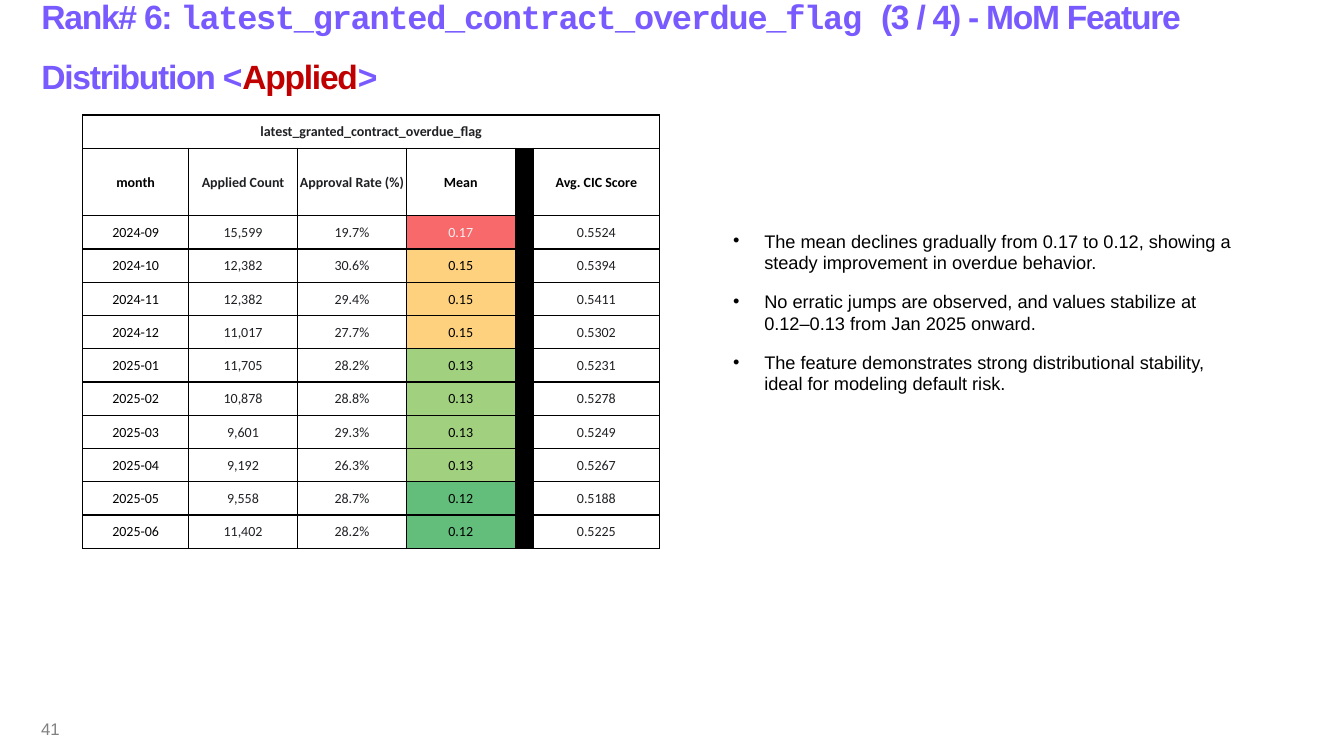
from lxml import etree
from pptx import Presentation, util as u
from pptx.dml.color import RGBColor
from pptx.enum import text
from pptx.oxml.ns import qn

PX = 9144
PURPLE = RGBColor(0x78, 0x5A, 0xFF)
CRIMSON = RGBColor(0xC0, 0x00, 0x00)
BLACK = RGBColor(0x00, 0x00, 0x00)
WHITE = RGBColor(0xFF, 0xFF, 0xFF)
INK = RGBColor(0x20, 0x21, 0x24)
PALE = RGBColor(0xF1, 0xF1, 0xF1)
GRAY = RGBColor(0x80, 0x80, 0x80)
RED = RGBColor(0xF8, 0x69, 0x6B)
AMBER = RGBColor(0xFE, 0xD1, 0x7F)
LIME = RGBColor(0xA1, 0xD0, 0x7F)
GREEN = RGBColor(0x63, 0xBE, 0x7B)

MEAN_FILLS = {"0.17": RED, "0.15": AMBER, "0.13": LIME, "0.12": GREEN}
FEATURE = "latest_granted_contract_overdue_flag"
HEADERS = ("month", "Applied Count", "Approval Rate (%)", "Mean", "", "Avg. CIC Score")
HEADER_COLORS = (BLACK, INK, INK, BLACK, BLACK, BLACK)
BODY_COLORS = (BLACK, INK, INK, BLACK, BLACK, INK)
MEAN_COLUMN, DIVIDER_COLUMN = 3, 4
COLUMN_WIDTHS = (105, 108, 108, 108, 18, 125)
ROW_HEIGHT, HEADER_HEIGHT = 33, 67
MONTHS = (
    ("2024-09", "15,599", "19.7%", "0.17", "", "0.5524"),
    ("2024-10", "12,382", "30.6%", "0.15", "", "0.5394"),
    ("2024-11", "12,382", "29.4%", "0.15", "", "0.5411"),
    ("2024-12", "11,017", "27.7%", "0.15", "", "0.5302"),
    ("2025-01", "11,705", "28.2%", "0.13", "", "0.5231"),
    ("2025-02", "10,878", "28.8%", "0.13", "", "0.5278"),
    ("2025-03", "9,601", "29.3%", "0.13", "", "0.5249"),
    ("2025-04", "9,192", "26.3%", "0.13", "", "0.5267"),
    ("2025-05", "9,558", "28.7%", "0.12", "", "0.5188"),
    ("2025-06", "11,402", "28.2%", "0.12", "", "0.5225"),
)
FINDINGS = (
    "The mean declines gradually from 0.17 to 0.12, showing a steady improvement in overdue behavior.",
    "No erratic jumps are observed, and values stabilize at 0.12–0.13 from Jan 2025 onward.",
    "The feature demonstrates strong distributional stability, ideal for modeling default risk.",
)


def px(*lengths):
    return [length * PX for length in lengths]


def place(shape, *box):
    shape.left, shape.top, shape.width, shape.height = px(*box)


def add_run(paragraph, words, size, color, font="Arial", bold=False):
    run = paragraph.add_run()
    run.text = words
    run.font.size = u.Pt(size)
    run.font.name = font
    run.font.bold = bold
    run.font.color.rgb = color
    return run


def add_title(slide):
    title = slide.shapes.title
    place(title, 31, 0, 1203, 71)
    frame = title.text_frame
    frame.word_wrap = True
    frame.auto_size = text.MSO_AUTO_SIZE.NONE
    frame.vertical_anchor = text.MSO_ANCHOR.MIDDLE
    paragraph = frame.paragraphs[0]
    paragraph.alignment = text.PP_ALIGN.LEFT
    paragraph.line_spacing = 1.5
    for words, color, font in (
        ("Rank# 6: ", PURPLE, "Arial"),
        (FEATURE + " ", PURPLE, "Courier New"),
        ("(3 / 4) - MoM Feature Distribution <", PURPLE, "Arial"),
        ("Applied", CRIMSON, "Arial"),
        (">", PURPLE, "Arial"),
    ):
        run = add_run(paragraph, words, 24, color, font, True)
        run.font._element.set("spc", "-90")


def add_page_number(slide):
    box = slide.shapes.add_textbox(*px(31, 703, 300, 40))
    frame = box.text_frame
    frame.word_wrap = True
    frame.vertical_anchor = text.MSO_ANCHOR.MIDDLE
    paragraph = frame.paragraphs[0]
    paragraph.space_after = u.Pt(6)
    add_run(paragraph, "41", 12, GRAY)


def add_borders(cell):
    properties = cell._tc.get_or_add_tcPr()
    for side in ("a:lnL", "a:lnR", "a:lnT", "a:lnB"):
        line = etree.SubElement(properties, qn(side), w=str(u.Pt(1)))
        fill = etree.SubElement(line, qn("a:solidFill"))
        etree.SubElement(fill, qn("a:srgbClr"), val=str(BLACK))


def fill_cell(cell, words, color, fill, bold=False):
    add_borders(cell)
    cell.fill.solid()
    cell.fill.fore_color.rgb = fill
    cell.margin_left = cell.margin_right = cell.margin_top = PX
    cell.margin_bottom = 0
    cell.vertical_anchor = text.MSO_ANCHOR.MIDDLE
    paragraph = cell.text_frame.paragraphs[0]
    paragraph.alignment = text.PP_ALIGN.CENTER
    if words:
        add_run(paragraph, words, 10, color, "Calibri", bold)


def add_month_table(slide):
    heights = [ROW_HEIGHT, HEADER_HEIGHT] + [ROW_HEIGHT] * len(MONTHS)
    box = px(82, 114, sum(COLUMN_WIDTHS), sum(heights))
    table = slide.shapes.add_table(len(heights), len(COLUMN_WIDTHS), *box).table
    table.first_row = table.horz_banding = False
    for column, width in zip(table.columns, COLUMN_WIDTHS):
        column.width = width * PX
    for row, height in zip(table.rows, heights):
        row.height = height * PX

    table.cell(0, 0).merge(table.cell(0, len(COLUMN_WIDTHS) - 1))
    for index in range(len(COLUMN_WIDTHS)):
        fill_cell(table.cell(0, index), "" if index else FEATURE, INK, WHITE, True)

    for row, values in enumerate((HEADERS,) + MONTHS, 1):
        is_header = row == 1
        colors = HEADER_COLORS if is_header else BODY_COLORS
        for column, (words, color) in enumerate(zip(values, colors)):
            fill = WHITE
            if column == DIVIDER_COLUMN:
                fill = BLACK
            elif column == MEAN_COLUMN:
                fill = MEAN_FILLS.get(words, WHITE)
            if fill == RED:
                color = PALE
            fill_cell(table.cell(row, column), words, color, fill, is_header)


def add_findings(slide):
    body = slide.placeholders[1]
    place(body, 717, 223, 517, 175)
    frame = body.text_frame
    frame.word_wrap = True
    frame.auto_size = text.MSO_AUTO_SIZE.SHAPE_TO_FIT_TEXT
    frame.vertical_anchor = text.MSO_ANCHOR.TOP
    for index, finding in enumerate(FINDINGS):
        paragraph = frame.add_paragraph() if index else frame.paragraphs[0]
        properties = paragraph._p.get_or_add_pPr()
        properties.set("marL", str(31 * PX))
        properties.set("indent", str(-31 * PX))
        etree.SubElement(properties, qn("a:buFont"), typeface="Arial")
        etree.SubElement(properties, qn("a:buChar"), char="•")
        paragraph.alignment = text.PP_ALIGN.LEFT
        paragraph.space_before = u.Pt(0)
        paragraph.space_after = u.Pt(12)
        add_run(paragraph, finding, 13, BLACK)


def main():
    presentation = Presentation()
    presentation.slide_width, presentation.slide_height = px(1333, 750)
    slide = presentation.slides.add_slide(presentation.slide_layouts[1])
    add_title(slide)
    add_page_number(slide)
    add_month_table(slide)
    add_findings(slide)
    presentation.save("out.pptx")


if __name__ == "__main__":
    main()
